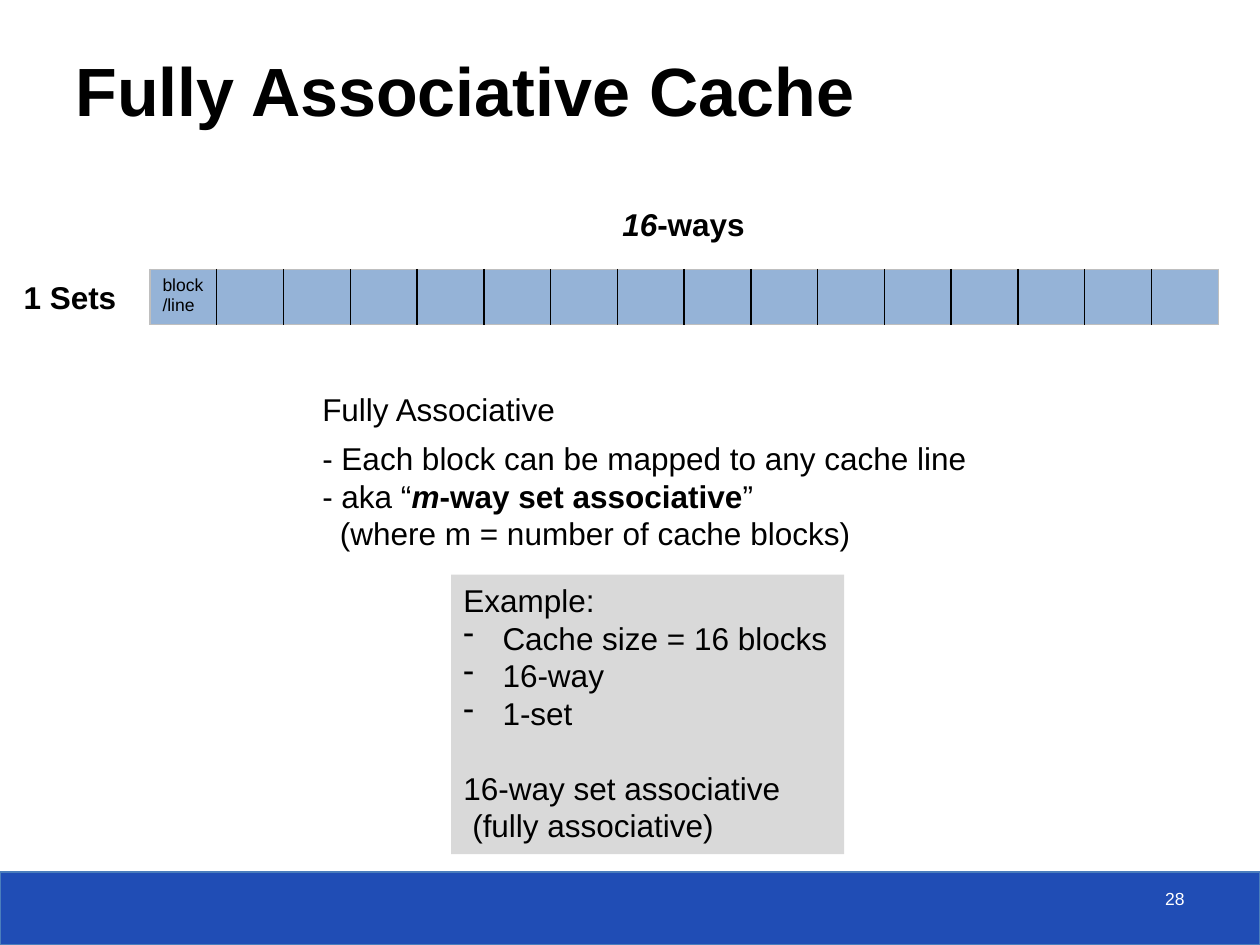
from dataclasses import dataclass

from lxml import etree
from pptx import Presentation
from pptx.dml.color import RGBColor
from pptx.enum import shapes, text
from pptx.oxml.ns import qn
from pptx.util import Inches, Pt


@dataclass(frozen=True)
class Theme:
    font: str = "Arial"
    ink: str = "000000"
    paper: str = "FFFFFF"
    band: str = "204DB5"
    band_edge: str = "4B7EBC"
    block: str = "95B3D7"
    block_edge: str = "BFBFBF"
    panel: str = "D9D9D9"
    title: int = 39
    body: int = 18
    small: int = 10


THEME = Theme()
WAYS = 16


def rgb(value):
    return RGBColor.from_string(value)


def set_font(paragraph, size, color=THEME.ink, bold=None):
    font = paragraph.font
    font.name, font.size, font.bold = THEME.font, Pt(size), bold
    font.color.rgb = rgb(color)


def set_indent(paragraph, left, hanging=0, bullet=None):
    props = paragraph._p.get_or_add_pPr()
    props.set("marL", str(Inches(left)))
    props.set("indent", str(-Inches(hanging)))
    if bullet:
        etree.SubElement(props, qn("a:buChar")).set("char", bullet)


def add_runs(paragraph, runs):
    """Each run is (words, bold, italic)."""
    for words, bold, italic in runs:
        run = paragraph.add_run()
        run.text = words
        if bold:
            run.font.bold = True
        if italic:
            run.font.italic = True


def fill_lines(frame, lines):
    """Each line is (words or runs, indent, hanging, bullet)."""
    frame.word_wrap = False
    for index, (words, left, hanging, bullet) in enumerate(lines):
        paragraph = frame.paragraphs[0] if index == 0 else frame.add_paragraph()
        paragraph.alignment = text.PP_ALIGN.LEFT
        set_indent(paragraph, left, hanging, bullet)
        set_font(paragraph, THEME.body)
        add_runs(paragraph, [(words, False, False)] if isinstance(words, str) else words)


def add_block(slide, box, fill, edge=None):
    block = slide.shapes.add_shape(shapes.MSO_SHAPE.RECTANGLE, *map(Inches, box))
    block.shadow.inherit = False
    block.fill.solid()
    block.fill.fore_color.rgb = rgb(fill)
    if edge:
        block.line.color.rgb = rgb(edge)
        block.line.width = Pt(0.75)
    else:
        block.line.fill.background()
    return block


def add_label(slide, box, runs, size, color=THEME.ink, align=text.PP_ALIGN.LEFT, bold=None):
    frame = slide.shapes.add_textbox(*map(Inches, box)).text_frame
    frame.word_wrap = False
    paragraph = frame.paragraphs[0]
    paragraph.alignment = align
    set_font(paragraph, size, color, bold)
    add_runs(paragraph, runs)


def add_footer(slide, box, number):
    left, top, width, _ = box
    add_block(slide, box, THEME.band, THEME.band_edge)
    add_label(slide, (left + width - 2.83, top + 0.08, 2.33, 0.33), [(number, False, False)],
              THEME.small, THEME.paper, text.PP_ALIGN.RIGHT)


def set_title(slide, box, words):
    title = slide.shapes.title
    title.left, title.top, title.width, title.height = map(Inches, box)
    title.fill.solid()
    title.fill.fore_color.rgb = rgb(THEME.paper)
    color = title._element.spPr.find(qn("a:solidFill"))[0]
    etree.SubElement(color, qn("a:alpha")).set("val", "70000")
    frame = title.text_frame
    frame.text = words
    frame.word_wrap = True
    frame.auto_size = text.MSO_AUTO_SIZE.NONE
    frame.vertical_anchor = text.MSO_ANCHOR.BOTTOM
    frame.paragraphs[0].alignment = text.PP_ALIGN.LEFT
    set_font(frame.paragraphs[0], THEME.title, bold=True)


def set_borders(cell, colors):
    props = cell._tc.get_or_add_tcPr()
    for position, (side, color) in enumerate(colors.items()):
        line = etree.Element(qn(f"a:{side}"), w=str(Pt(1)))
        solid = etree.SubElement(line, qn("a:solidFill"))
        etree.SubElement(solid, qn("a:srgbClr")).set("val", color)
        props.insert(position, line)


def add_cache_set(slide, box):
    """One set drawn as a row of blocks, with its two captions."""
    left, top, width, height = box
    row = slide.shapes.add_table(1, WAYS, *map(Inches, box)).table
    row.first_row = row.horz_banding = False
    for way in range(WAYS):
        row.columns[way].width = Inches(width / WAYS)
        cell = row.cell(0, way)
        cell.fill.solid()
        cell.fill.fore_color.rgb = rgb(THEME.block)
        cell.margin_right = Inches(0.05)
        set_borders(cell, {
            "lnL": THEME.ink if way else THEME.block_edge,
            "lnR": THEME.ink if way < WAYS - 1 else THEME.block_edge,
            "lnT": THEME.block_edge,
            "lnB": THEME.block_edge,
        })
        paragraph = cell.text_frame.paragraphs[0]
        if way == 0:
            paragraph.text = "block\v/line"
        set_font(paragraph, THEME.small)
    add_label(slide, (left - 1.11, top + 0.02, 0.95, 0.4), [("1 Sets", False, False)],
              THEME.body, align=text.PP_ALIGN.CENTER, bold=True)
    add_label(slide, (left + 3.65, top - 0.56, 1.18, 0.4),
              [("16", False, True), ("-ways", False, False)], THEME.body, bold=True)


def add_definition(slide, box):
    frame = slide.shapes.add_textbox(*map(Inches, box)).text_frame
    alias = [("- aka “", False, False), ("m", True, True),
             ("-way set associative", True, False), ("”", False, False)]
    fill_lines(frame, [
        ("Fully Associative", 0, 0, None),
        ("- Each block can be mapped to any cache line", 0, 0, None),
        (alias, 0, 0, None),
        ("(where m = number of cache blocks)", 0.14, 0, None),
    ])
    frame.paragraphs[0].space_after = Pt(6)


def add_example(slide, box):
    frame = add_block(slide, box, THEME.panel).text_frame
    frame.vertical_anchor = text.MSO_ANCHOR.TOP
    facts = ["Cache size = 16 blocks", "16-way", "1-set"]
    fill_lines(frame, [
        ("Example:", 0, 0, None),
        *[(fact, 0.31, 0.31, "-") for fact in facts],
        ("16-way set associative", 0, 0, None),
        ("(fully associative)", 0.07, 0, None),
    ])
    # One line of space parts the conclusion from the facts
    frame.paragraphs[len(facts) + 1].space_before = Pt(21)


def main():
    deck = Presentation()
    deck.slide_width, deck.slide_height = Inches(10), Inches(7.5)
    slide = deck.slides.add_slide(deck.slide_layouts[5])
    add_footer(slide, (0, 6.92, 10, 0.58), "28")
    set_title(slide, (0.5, 0.25, 9.29, 0.83), "Fully Associative Cache")
    add_cache_set(slide, (1.19, 2.14, 8.48, 0.41))
    add_definition(slide, (2.46, 3.05, 5.36, 1.4))
    add_example(slide, (3.58, 4.56, 3.12, 2.22))
    deck.save("out.pptx")


if __name__ == "__main__":
    main()
